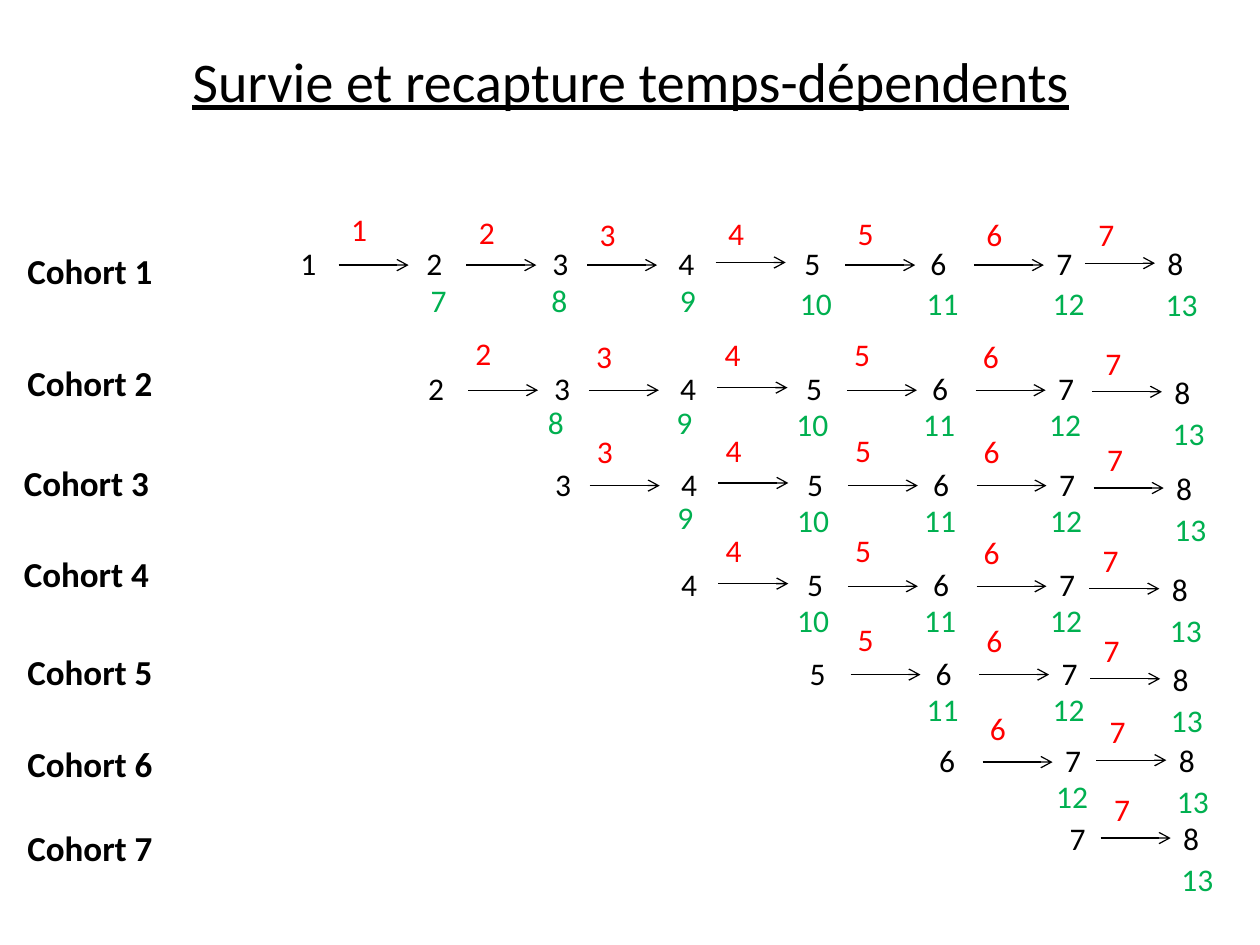
"""Draw survival and recapture parameters for seven cohorts."""
from dataclasses import dataclass
from typing import Any

from lxml.etree import SubElement
from pptx import Presentation
from pptx.dml.color import RGBColor
from pptx.enum.shapes import MSO_CONNECTOR
from pptx.enum.text import MSO_ANCHOR, MSO_AUTO_SIZE, PP_ALIGN
from pptx.oxml.ns import qn
from pptx.util import Pt


@dataclass(frozen=True)
class Theme:
    font: str = "Calibri"
    ink: str = "000000"
    red: str = "FF0000"
    green: str = "00B050"
    title: float = 32
    label: float = 20
    body: float = 18
    line: float = 0.75


@dataclass(frozen=True)
class Step:
    x: float
    arrow: float
    red: float
    green_x: float
    green_y: float


@dataclass(frozen=True)
class Cohort:
    x: float
    y: float
    label_x: float
    label_y: float
    end_x: float
    end_y: float


THEME = Theme()
LAST = 7
ARROW = 40
HIGH = 28.8
STEPS = [
    Step(124.5, 15.5, -19.5, 170, 21),
    Step(197.5, 15.5, -18, 239, 21),
    Step(266.5, 15.5, -16.5, 312.5, 21),
    Step(340, 14, -17.5, 381, 22.5),
    Step(414, 15.5, -17.5, 453.5, 22.5),
    Step(487.5, 15.5, -16.5, 525.5, 22.5),
]
COHORTS = [
    Cohort(69, 136, 8.5, 139, 660, 136),
    Cohort(70, 207.5, 8.5, 203, 664, 209.5),
    Cohort(70.5, 262, 6.5, 260, 665, 264.5),
    Cohort(70.5, 319.5, 6.5, 312, 662.5, 322),
    Cohort(72, 370, 8.5, 368, 663, 373.5),
    Cohort(74, 420, 8.5, 420.5, 666.5, 420),
    Cohort(76.5, 464.5, 8.5, 468.5, 669, 464.5),
]


def write(frame: Any, text: str, *, size: float = THEME.body,
          color: str = THEME.ink, bold: bool = False, under: bool = False,
          align: PP_ALIGN = PP_ALIGN.LEFT) -> None:
    para = frame.paragraphs[0]
    para.alignment = align
    para._p.get_or_add_pPr().set("defTabSz", str(Pt(72)))
    run = para.add_run()
    run.text = text
    font = run.font
    font.name, font.size = THEME.font, Pt(size)
    font.bold, font.underline = bold, under
    font.color.rgb = RGBColor.from_string(color)


def note(slide: Any, text: str, x: float, y: float, wide: float,
         high: float = HIGH, **style: Any) -> Any:
    box = slide.shapes.add_textbox(Pt(x), Pt(y), Pt(wide), Pt(high))
    frame = box.text_frame
    frame.word_wrap = True
    frame.auto_size = MSO_AUTO_SIZE.SHAPE_TO_FIT_TEXT
    write(frame, text, **style)
    return box


def arrow(slide: Any, x: float, y: float) -> Any:
    link = slide.shapes.add_connector(
        MSO_CONNECTOR.STRAIGHT, Pt(x), Pt(y), Pt(x + ARROW), Pt(y))
    link.line.width = Pt(THEME.line)
    link.line.color.rgb = RGBColor.from_string(THEME.ink)
    SubElement(link.line._get_or_add_ln(), qn("a:tailEnd"), type="arrow")
    SubElement(link._element.spPr, qn("a:effectLst"))
    return link


def survive(slide: Any, num: int, x: float, y: float) -> None:
    note(slide, str(num), x, y, 39.5, color=THEME.red)


def catch(slide: Any, num: int, x: float, y: float) -> None:
    note(slide, str(num + LAST - 1), x, y, 47.5, color=THEME.green)


def finish(slide: Any, row: Cohort) -> None:
    x, y = row.end_x, row.end_y
    box = note(slide, str(LAST + 1), x, y, 34)
    arrow(slide, x - ARROW, y + HIGH / 2).end_connect(box, 1)
    survive(slide, LAST, x - 39.5, y - 16.5)
    catch(slide, LAST, x - 1, y + 23.5)


def draw(slide: Any, first: int, row: Cohort) -> None:
    note(slide, f"Cohort {first}", row.label_x, row.label_y, 167, 31.5,
         size=THEME.label, bold=True)
    years = map(str, range(first, LAST + 1))
    note(slide, "\t" * (first - 1) + "\t".join(years), row.x, row.y, 646.5,
         align=PP_ALIGN.CENTER)
    dx, dy = (0, 0) if first == 1 else (-3, -2)
    for num, step in enumerate(STEPS[first - 1:], first):
        arrow(slide, row.x + step.x, row.y + step.arrow)
        survive(slide, num, row.x + step.x + dx, row.y + step.red + dy)
        catch(slide, num + 1 - 1, row.x + step.green_x + dx,
              row.y + step.green_y + dy)
    finish(slide, row)


def main() -> None:
    deck = Presentation()
    deck.slide_width, deck.slide_height = Pt(720), Pt(540)
    slide = deck.slides.add_slide(deck.slide_layouts[5])
    title = slide.shapes.title
    title.left, title.top = Pt(36.5), Pt(0.5)
    title.width, title.height = Pt(648), Pt(90)
    title.text_frame.vertical_anchor = MSO_ANCHOR.MIDDLE
    write(title.text_frame, "Survie et recapture temps-dépendents",
          size=THEME.title, under=True, align=PP_ALIGN.CENTER)
    for first, row in enumerate(COHORTS, 1):
        draw(slide, first, row)
    deck.save("out.pptx")


if __name__ == "__main__":
    main()
